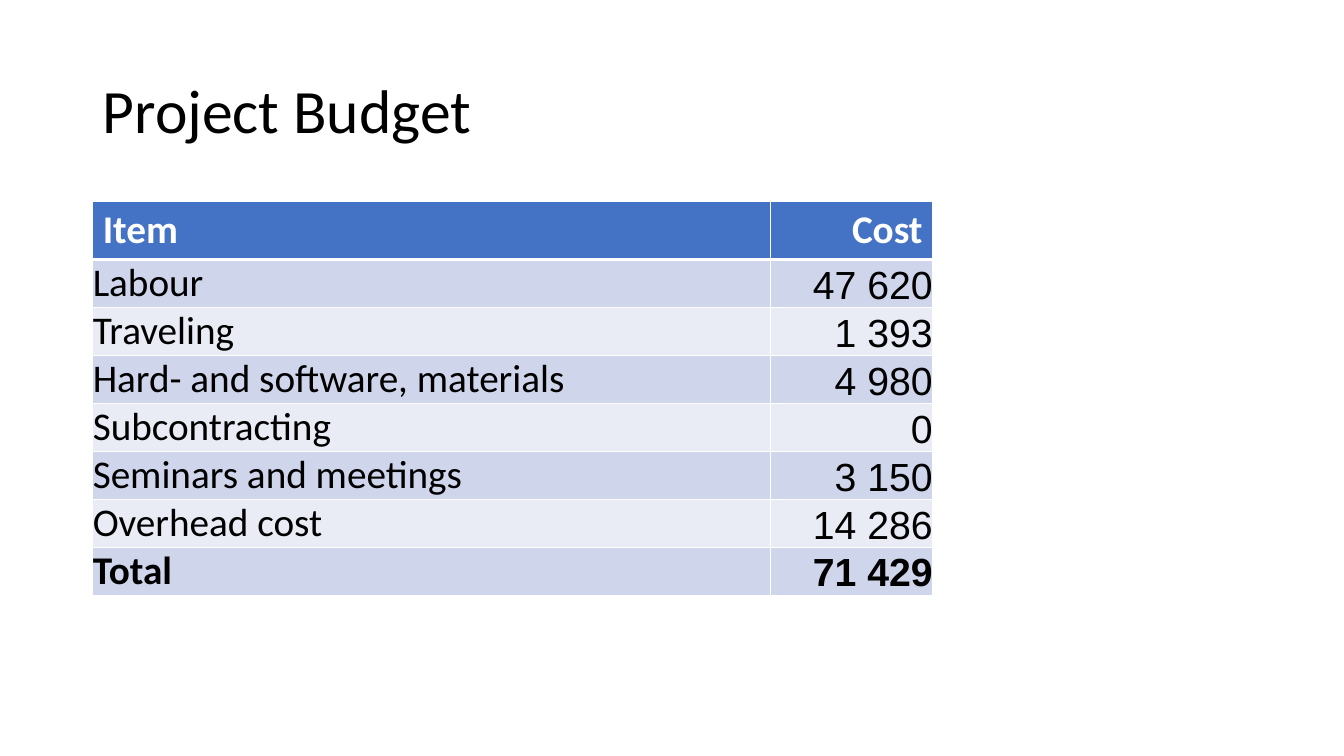
import pptx
import pptx.util
import pptx.dml.color
import pptx.enum.text
import pptx.oxml
import pptx.oxml.ns
import lxml.etree

# Content
TITLE = "Project Budget"
HEADER = ("Item", "Cost")
COSTS = [
    ("Labour", "47 620"),
    ("Traveling", "1 393"),
    ("Hard- and software, materials", "4 980"),
    ("Subcontracting", "0"),
    ("Seminars and meetings", "3 150"),
    ("Overhead cost", "14 286"),
]
TOTAL = ("Total", "71 429")
ROWS = [HEADER, *COSTS, TOTAL]

THEME = {
    "text": "000000", "light": "FFFFFF", "header": "4472C4",
    "bands": ("CFD5EA", "E9EBF5"),
    "title_size": 44, "table_size": 28,
    "title_font": "Calibri", "column_fonts": ("Calibri", "Arial"),
    "border": 1, "header_border": 3,
}

# Layout, in inches
SLIDE_WIDTH, SLIDE_HEIGHT = 13.33, 7.5
MARGIN = 0.92
TITLE_TOP, TITLE_HEIGHT = 0.4, 1.45
TABLE_TOP, ROW_HEIGHT = 2, 0.41
COLUMN_WIDTHS = (6.72, 1.61)

ALIGN = pptx.enum.text.PP_ALIGN
ANCHOR = pptx.enum.text.MSO_ANCHOR
inches = pptx.util.Inches


def color(name):
    return pptx.dml.color.RGBColor.from_string(name)


def add_text(paragraph, text, font, size, ink, bold=False):
    run = paragraph.add_run()
    run.text = text
    run.font.name = font
    run.font.size = pptx.util.Pt(size)
    run.font.bold = bold
    run.font.color.rgb = color(ink)


def set_borders(cell, bottom_width):
    properties = cell._tc.get_or_add_tcPr()
    widths = {"lnL": THEME["border"], "lnR": THEME["border"],
              "lnT": THEME["border"], "lnB": bottom_width}
    # Borders must precede the cell fill
    for position, (side, width) in enumerate(widths.items()):
        line = lxml.etree.Element(pptx.oxml.ns.qn(f"a:{side}"),
                                  w=str(pptx.util.Pt(width)))
        fill = lxml.etree.SubElement(line, pptx.oxml.ns.qn("a:solidFill"))
        lxml.etree.SubElement(fill, pptx.oxml.ns.qn("a:srgbClr"), val=THEME["light"])
        properties.insert(position, line)


presentation = pptx.Presentation()
presentation.slide_width = inches(SLIDE_WIDTH)
presentation.slide_height = inches(SLIDE_HEIGHT)
slide = presentation.slides.add_slide(presentation.slide_layouts.get_by_name("Title Only"))

# Title
title = slide.shapes.title
title.left, title.top = inches(MARGIN), inches(TITLE_TOP)
title.width, title.height = inches(SLIDE_WIDTH - 2 * MARGIN), inches(TITLE_HEIGHT)
title.text_frame.auto_size = pptx.enum.text.MSO_AUTO_SIZE.NONE
title.text_frame.vertical_anchor = ANCHOR.MIDDLE
paragraph = title.text_frame.paragraphs[0]
paragraph.alignment = ALIGN.LEFT
paragraph.line_spacing = 0.9
add_text(paragraph, TITLE, THEME["title_font"], THEME["title_size"], THEME["text"])

# Budget table
table = slide.shapes.add_table(
    len(ROWS), len(HEADER), inches(MARGIN), inches(TABLE_TOP),
    inches(sum(COLUMN_WIDTHS)), inches(ROW_HEIGHT * len(ROWS))).table
for column, width in zip(table.columns, COLUMN_WIDTHS):
    column.width = inches(width)

for row_index, values in enumerate(ROWS):
    table.rows[row_index].height = inches(ROW_HEIGHT)
    is_header = values is HEADER
    background = THEME["header"] if is_header else THEME["bands"][(row_index - 1) % 2]
    for column_index, value in enumerate(values):
        cell = table.cell(row_index, column_index)
        cell.fill.solid()
        cell.fill.fore_color.rgb = color(background)
        set_borders(cell, THEME["header_border" if is_header else "border"])
        if not is_header:
            cell.vertical_anchor = ANCHOR.BOTTOM
            cell.margin_left = cell.margin_right = 0
            cell.margin_top = cell.margin_bottom = 0
        paragraph = cell.text_frame.paragraphs[0]
        paragraph.alignment = (ALIGN.LEFT, ALIGN.RIGHT)[column_index]
        add_text(paragraph, value,
                 THEME["column_fonts"][0 if is_header else column_index],
                 THEME["table_size"],
                 THEME["light" if is_header else "text"],
                 bold=is_header or values is TOTAL)

presentation.save("out.pptx")
